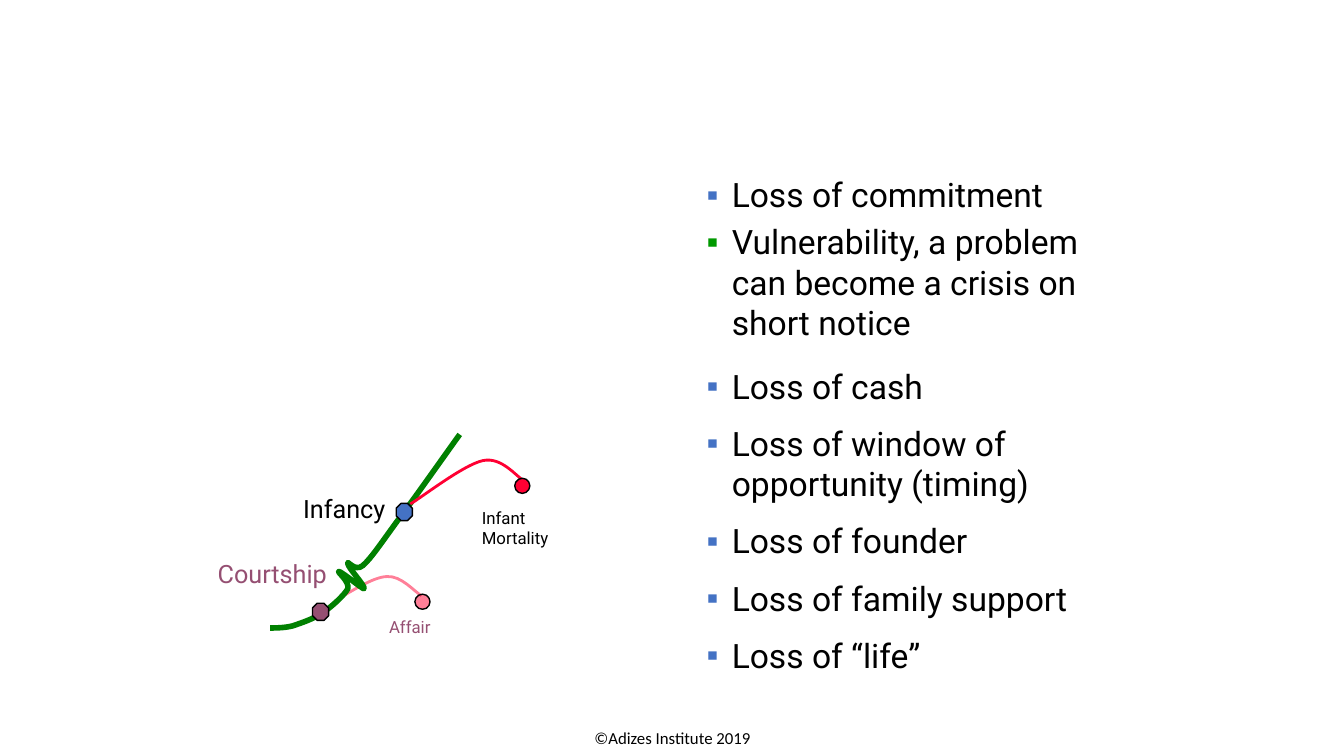
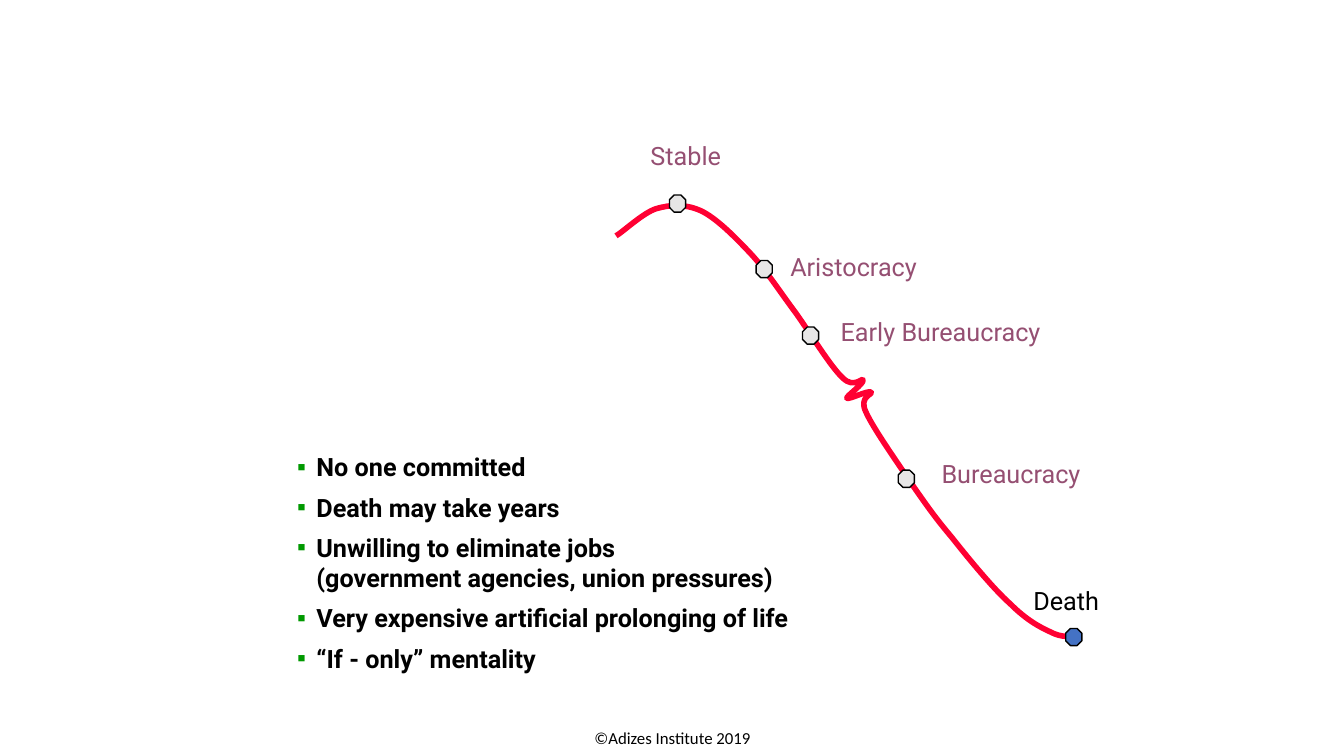
from lxml import etree
from pptx import Presentation
from pptx.dml.color import RGBColor as RGB
from pptx.enum.shapes import MSO_SHAPE as SHAPE
from pptx.enum.text import MSO_AUTO_SIZE as AUTO, PP_ALIGN as ALIGN
from pptx.oxml.ns import qn
from pptx.util import Inches, Pt

BLACK = RGB(0, 0, 0)
RED = RGB(0xFF, 0x00, 0x33)
GREEN = RGB(0x00, 0x80, 0x00)
LEAF = RGB(0x00, 0x99, 0x00)
BLUE = RGB(0x44, 0x72, 0xC4)
PLUM = RGB(0x95, 0x4F, 0x72)
GRAY = RGB(0xE7, 0xE6, 0xE6)
FONT = "Roboto"
FOOTER = "©Adizes Institute 2019"

# Curves: start point, then three points for each Bezier piece
AFFAIR = [(3.37, 5.93), (3.45, 5.89), (3.7, 5.72), (3.84, 5.72),
          (3.98, 5.71), (4.11, 5.87), (4.18, 5.91)]
MORTAL = [(4.07, 5), (4.19, 4.93), (4.6, 4.61), (4.79, 4.57),
          (4.98, 4.53), (5.12, 4.73), (5.21, 4.78)]
GROWTH = [(2.68, 6.23), (2.72, 6.23), (2.82, 6.23), (2.9, 6.21),
          (2.99, 6.18), (3.11, 6.14), (3.2, 6.08),
          (3.29, 6.02), (3.42, 5.9), (3.45, 5.84),
          (3.47, 5.77), (3.34, 5.67), (3.36, 5.67),
          (3.39, 5.67), (3.6, 5.85), (3.61, 5.84),
          (3.63, 5.82), (3.45, 5.63), (3.45, 5.59),
          (3.44, 5.55), (3.52, 5.68), (3.6, 5.61),
          (3.68, 5.54), (3.78, 5.39), (3.94, 5.17),
          (4.1, 4.96), (4.43, 4.49), (4.56, 4.31)]
DECLINE = [(6.11, 2.34), (6.18, 2.3), (6.38, 2.11), (6.51, 2.07),
           (6.65, 2.03), (6.79, 2.02), (6.95, 2.09),
           (7.1, 2.16), (7.28, 2.34), (7.44, 2.51),
           (7.6, 2.68), (7.74, 2.9), (7.89, 3.1),
           (8.04, 3.31), (8.24, 3.64), (8.36, 3.75),
           (8.47, 3.86), (8.56, 3.74), (8.56, 3.77),
           (8.57, 3.81), (8.39, 3.93), (8.4, 3.95),
           (8.41, 3.97), (8.61, 3.87), (8.64, 3.89),
           (8.67, 3.91), (8.51, 3.93), (8.59, 4.09),
           (8.66, 4.25), (8.93, 4.63), (9.07, 4.84),
           (9.21, 5.04), (9.28, 5.14), (9.44, 5.33),
           (9.59, 5.52), (9.85, 5.84), (10.02, 5.99),
           (10.18, 6.15), (10.31, 6.22), (10.42, 6.27),
           (10.53, 6.33), (10.63, 6.31), (10.68, 6.32)]

# Bullet styles: colour, space before and after as shares of the size
WIDE = (BLUE, 0.5, 0)
TIGHT = (LEAF, 0.2, 0.2)

# curves: points, colour, width, opacity
# marks: shape, centre, fill, opacity
# labels: text, left, top, width, size, colour, alignment
SLIDES = [
    dict(
        curves=[(AFFAIR, RED, 2, 50), (GROWTH, GREEN, 4, 100),
                (MORTAL, RED, 2, 100)],
        marks=[(SHAPE.OCTAGON, 3.18, 6.07, PLUM, 100),
               (SHAPE.OCTAGON, 4.01, 5.08, BLUE, 100),
               (SHAPE.OVAL, 4.19, 5.97, RED, 50),
               (SHAPE.OVAL, 5.18, 4.82, RED, 100)],
        labels=[("Courtship", 1.85, 5.49, 1.49, 18, PLUM, ALIGN.RIGHT),
                ("Infancy", 2.43, 4.84, 1.49, 18, BLACK, ALIGN.RIGHT),
                ("Affair", 3.76, 6.07, 0.91, 12, PLUM, ALIGN.LEFT),
                ("Infant Mortality", 4.68, 4.99, 1.08, 12, BLACK, ALIGN.LEFT)],
        box=(6.91, 1.68, 4.4, 5.31), size=24, bold=False, indent=0.25,
        bullets=[("Loss of commitment", WIDE),
                 ("Vulnerability, a problem can become a crisis on "
                  "short notice", TIGHT),
                 ("Loss of cash", WIDE),
                 ("Loss of window of opportunity (timing)", WIDE),
                 ("Loss of founder", WIDE),
                 ("Loss of family support", WIDE),
                 ("Loss of “life”", WIDE)]),
    dict(
        curves=[(DECLINE, RED, 4, 100)],
        marks=[(SHAPE.OCTAGON, 6.72, 2.02, GRAY, 100),
               (SHAPE.OCTAGON, 7.58, 2.67, GRAY, 100),
               (SHAPE.OCTAGON, 8.04, 3.33, GRAY, 100),
               (SHAPE.OCTAGON, 8.99, 4.75, GRAY, 100),
               (SHAPE.OCTAGON, 10.65, 6.32, BLUE, 100)],
        labels=[("Stable", 6.09, 1.34, 1.16, 18, PLUM, ALIGN.RIGHT),
                ("Aristocracy", 7.74, 2.44, 1.83, 18, PLUM, ALIGN.LEFT),
                ("Early Bureaucracy", 8.24, 3.09, 2.87, 18, PLUM, ALIGN.LEFT),
                ("Bureaucracy", 9.24, 4.5, 1.83, 18, PLUM, ALIGN.LEFT),
                ("Death", 10.15, 5.76, 1.24, 18, BLACK, ALIGN.LEFT)],
        box=(2.85, 4.43, 5.73, 2.39), size=18, bold=True, indent=0.19,
        bullets=[("No one committed", TIGHT),
                 ("Death may take years", TIGHT),
                 ("Unwilling to eliminate jobs\n"
                  "(government agencies, union pressures)", TIGHT),
                 ("Very expensive artificial prolonging of life", TIGHT),
                 ("“If - only” mentality", TIGHT)]),
]


def fade(fill, share):
    """Make a solid fill partly transparent."""
    if share < 100:
        color = fill._xPr.find(qn("a:solidFill"))[0]
        etree.SubElement(color, qn("a:alpha")).set("val", str(share * 1000))


def bend(curve):
    """Turn each three straight steps of an outline into one Bezier piece."""
    route = curve._element.find(".//" + qn("a:path"))
    steps = route.findall(qn("a:lnTo"))
    for i in range(0, len(steps), 3):
        piece = etree.SubElement(route, qn("a:cubicBezTo"))
        for step in steps[i:i + 3]:
            piece.append(step[0])
            route.remove(step)


def add_curve(slide, pts, color, width, share):
    dots = [(Inches(x), Inches(y)) for x, y in pts]
    pen = slide.shapes.build_freeform(*dots[0])
    pen.add_line_segments(dots[1:], close=False)
    curve = pen.convert_to_shape()
    bend(curve)
    curve.shadow.inherit = False
    curve.fill.background()
    curve.line.width = Pt(width)
    curve.line.color.rgb = color
    fade(curve.line.fill, share)


def add_mark(slide, kind, x, y, color, share):
    w, h = (0.15, 0.15) if kind == SHAPE.OVAL else (0.16, 0.17)
    mark = slide.shapes.add_shape(kind, Inches(x - w / 2), Inches(y - h / 2),
                                  Inches(w), Inches(h))
    mark.shadow.inherit = False
    mark.fill.solid()
    mark.fill.fore_color.rgb = color
    fade(mark.fill, share)
    mark.line.color.rgb = BLACK
    mark.line.width = Pt(1)


def add_box(slide, *place, fit=AUTO.SHAPE_TO_FIT_TEXT):
    frame = slide.shapes.add_textbox(*map(Inches, place)).text_frame
    frame.word_wrap = True
    frame.auto_size = fit
    return frame


def style(para, size, color=BLACK, name=FONT, bold=False):
    font = para.font
    font.size, font.name, font.bold = Pt(size), name, bold
    font.color.rgb = color


def add_label(slide, text, x, y, w, size, color, align):
    lines = 2 if text == "Infant Mortality" else 1
    high = 0.4 if size == 18 else 0.1 + 0.2 * lines
    para = add_box(slide, x, y, w, high).paragraphs[0]
    para.text, para.alignment = text, align
    style(para, size, color)


def set_bullet(para, color, indent):
    props = para._p.get_or_add_pPr()
    props.set("marL", str(Inches(indent)))
    props.set("indent", str(-Inches(indent)))
    tint = etree.SubElement(props, qn("a:buClr"))
    etree.SubElement(tint, qn("a:srgbClr")).set("val", str(color))
    etree.SubElement(props, qn("a:buFont")).set("typeface", "Arial")
    etree.SubElement(props, qn("a:buChar")).set("char", "▪")


def add_list(slide, page):
    frame, size = add_box(slide, *page["box"]), page["size"]
    for i, (text, (color, before, after)) in enumerate(page["bullets"]):
        para = frame.add_paragraph() if i else frame.paragraphs[0]
        para.text = text
        set_bullet(para, color, page["indent"])
        para.space_before = Pt(size * before if i else 0)
        para.space_after = Pt(size * after)
        style(para, size, bold=page["bold"])


def add_footer(slide):
    frame = add_box(slide, 4.45, 7.18, 4.44, 0.3, fit=AUTO.NONE)
    frame.margin_top = Inches(0.06)
    para = frame.paragraphs[0]
    para.text, para.alignment = FOOTER, ALIGN.CENTER
    para.line_spacing = 0.93
    style(para, 12, name="Calibri")


def main():
    deck = Presentation()
    deck.slide_width, deck.slide_height = Inches(13.33), Inches(7.5)
    for page in SLIDES:
        slide = deck.slides.add_slide(deck.slide_layouts[6])
        add_footer(slide)
        for curve in page["curves"]:
            add_curve(slide, *curve)
        for mark in page["marks"]:
            add_mark(slide, *mark)
        for label in page["labels"]:
            add_label(slide, *label)
        add_list(slide, page)
    deck.save("out.pptx")


if __name__ == "__main__":
    main()
